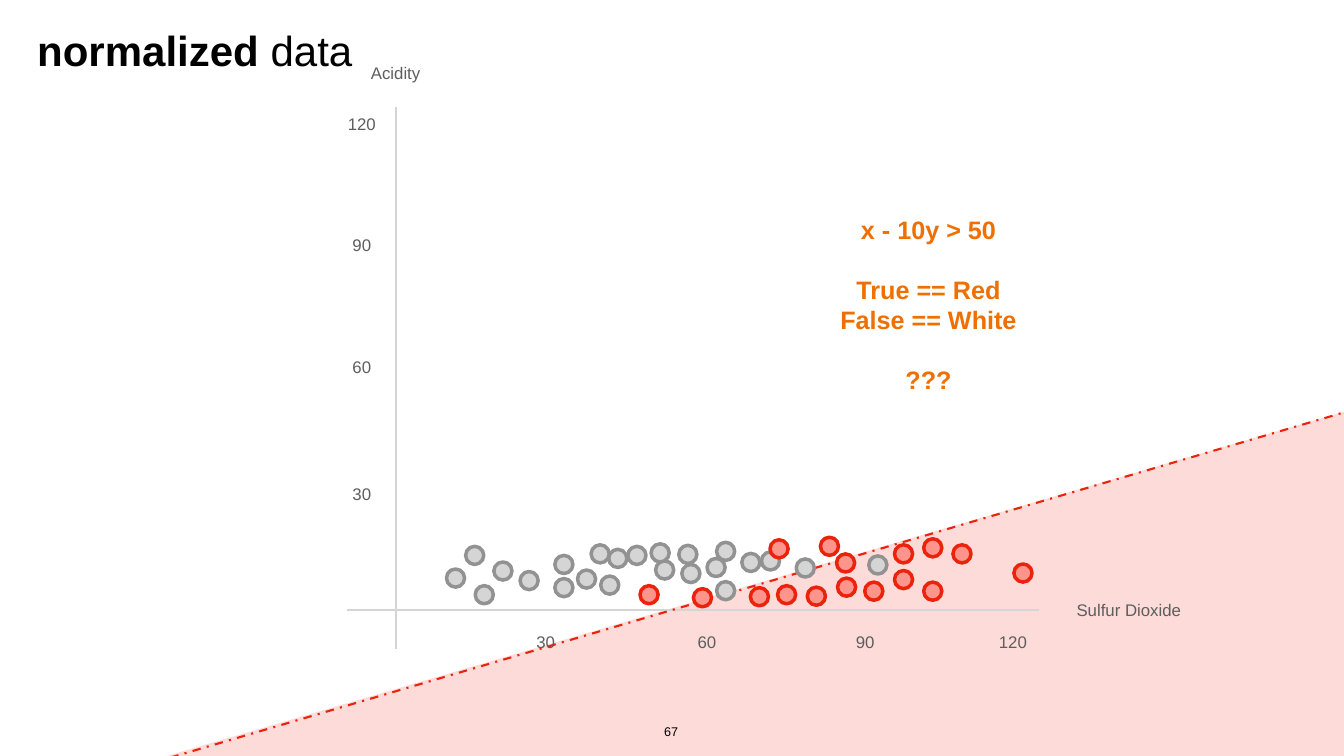
from collections import namedtuple

from pptx import Presentation
from pptx.dml.color import RGBColor
from pptx.enum.dml import MSO_LINE_DASH_STYLE as Dash
from pptx.enum.shapes import MSO_CONNECTOR as Connector, MSO_SHAPE as Shape
from pptx.enum.text import MSO_ANCHOR as Anchor, MSO_AUTO_SIZE as AutoSize, PP_ALIGN as Align
from pptx.oxml.ns import qn
from pptx.util import Pt
from lxml import etree

PX = 9144  # 100 px to the inch
Box = namedtuple("Box", "left top width height")

COLORS = {
    "black": "000000", "label": "5E5E5E", "axis": "D5D5D5", "formula": "EF7001",
    "region": "ED220D", "red_line": "EB220C", "red_fill": "FE958C",
    "white_line": "929292", "white_fill": "D5D5D5",
}
LABEL = {"size": Pt(24), "color": "label"}
DOT = 36

# Distances from the origin of the plot: right, up
WHITE_WINES = [
    (119, 63), (157, 108), (213, 77), (425, 49), (334, 90), (176, 30), (334, 44), (265, 58),
    (441, 102), (479, 108), (534, 79), (406, 111), (655, 116), (744, 97), (655, 38), (586, 72),
    (379, 61), (705, 94), (636, 84), (813, 83), (525, 113), (580, 110), (957, 89),
]
RED_WINES = [
    (949, 37), (1066, 37), (776, 30), (1008, 60), (835, 27), (893, 93), (895, 45), (1008, 111),
    (1124, 111), (1066, 123), (1245, 73), (503, 30), (861, 126), (761, 121), (609, 24), (722, 26),
]
TICKS_RIGHT = {"30": 298, "60": 618, "90": 932, "120": 1225}
TICKS_UP = {"30": 230, "60": 482, "90": 724, "120": 965}


def rgb(name):
    return RGBColor.from_string(COLORS[name])


def emu(box):
    return [value * PX for value in box]


def centred(x, y, width, height):
    return Box(x - width // 2, y - height // 2, width, height)


def set_frame(shape, anchor=Anchor.MIDDLE):
    frame = shape.text_frame
    formats = {
        "word_wrap": True, "auto_size": AutoSize.NONE, "vertical_anchor": anchor,
        "margin_left": 6 * PX, "margin_right": 6 * PX,
        "margin_top": 6 * PX, "margin_bottom": 6 * PX,
    }
    for name, value in formats.items():
        setattr(frame, name, value)
    return frame


def add_span(para, text, color, **formats):
    para.alignment = Align.CENTER
    span = para.add_run()
    span.text = text
    span.font.color.rgb = rgb(color)
    for name, value in {"name": "Arial", "bold": False, **formats}.items():
        setattr(span.font, name, value)


def add_text(page, box, text, anchor=Anchor.MIDDLE, **formats):
    frame = set_frame(page.shapes.add_textbox(*emu(box)), anchor)
    add_span(frame.paragraphs[0], text, **formats)


def add_line(page, start, end, color, dash=None):
    line = page.shapes.add_connector(Connector.STRAIGHT, *emu(start + end))
    line.line.color.rgb = rgb(color)
    line.line.width = Pt(3)
    if dash:
        line.line.dash_style = dash
    etree.SubElement(line._element.spPr, qn("a:effectLst"))


def add_filled(page, kind, box, color):
    shape = page.shapes.add_shape(kind, *emu(box))
    shape.shadow.inherit = False
    shape.fill.solid()
    shape.fill.fore_color.rgb = rgb(color)
    return shape


def add_title(page, box):
    title = page.shapes.title
    title.left, title.top, title.width, title.height = emu(box)
    para = set_frame(title).paragraphs[0]
    para.line_spacing = 1.2
    add_span(para, "normalized", "black", size=Pt(60), bold=True)
    add_span(para, " data", "black", size=Pt(60))


def add_region(page, box):
    """Shade the half-plane that the rule calls red."""
    region = add_filled(page, Shape.RECTANGLE, box, "region")
    region.rotation = 73.7
    region.line.fill.background()
    color = region.fill._xPr.find(qn("a:solidFill"))[0]
    etree.SubElement(color, qn("a:alpha"), val="16000")


def add_axes(page, box, origin):
    x, y = origin
    add_line(page, (x, box.top + box.height), (x, box.top), "axis")
    add_line(page, (box.left + box.width, y), (box.left, y), "axis")


def add_labels(page, origin):
    x, y = origin
    for text, right in TICKS_RIGHT.items():
        add_text(page, centred(x + right, y + 63, 90, 52), text, **LABEL)
    for text, up in TICKS_UP.items():
        add_text(page, centred(x - 67, y - up, 84, 52), text, **LABEL)
    add_text(page, centred(x, y - 1065, 118, 50), "Acidity", **LABEL)
    add_text(page, centred(x + 1455, y, 246, 52), "Sulfur Dioxide", **LABEL)


def add_wines(page, origin, wines, kind):
    x, y = origin
    for right, up in wines:
        box = centred(x + right, y - up, DOT, DOT)
        dot = add_filled(page, Shape.OVAL, box, f"{kind}_fill")
        dot.line.color.rgb = rgb(f"{kind}_line")
        dot.line.width = Pt(5)


def add_plot(page, box):
    origin = (box.left + 96, box.top + 997)
    add_axes(page, box, origin)
    add_line(page, (206, 1542), (2814, 775), "red_line", Dash.DASH_DOT)
    add_labels(page, origin)
    add_wines(page, origin, WHITE_WINES, "white")
    add_wines(page, origin, RED_WINES, "red")


def add_formula(page, box):
    frame = set_frame(page.shapes.add_textbox(*emu(box)))
    lines = [("x - 10y > 50", 0), ("True == Red", 42), ("False == White", 0), ("???", 42)]
    for index, (text, gap) in enumerate(lines):
        para = frame.add_paragraph() if index else frame.paragraphs[0]
        if gap:
            para.space_before = Pt(gap)
        add_span(para, text, "formula", size=Pt(36), bold=True)


def main():
    deck = Presentation()
    deck.slide_width, deck.slide_height = 2667 * PX, 1500 * PX
    page = deck.slides.add_slide(deck.slide_layouts[5])
    add_region(page, Box(981, 518, 1524, 2726))
    add_title(page, Box(47, 46, 679, 84))
    add_plot(page, Box(689, 213, 1372, 1074))
    add_formula(page, Box(1564, 417, 557, 375))
    add_text(page, Box(1312, 1431, 40, 41), "67", Anchor.BOTTOM, size=Pt(18), color="black")
    deck.save("out.pptx")


if __name__ == "__main__":
    main()
